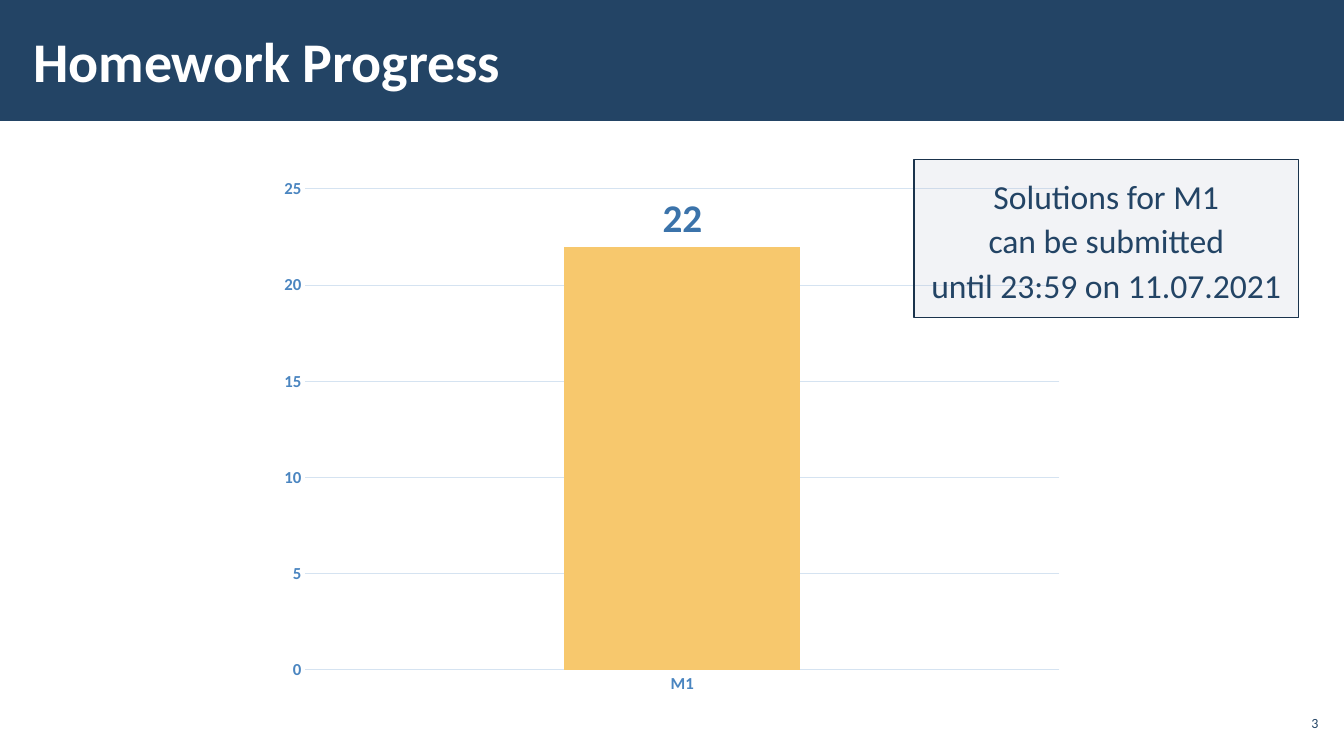
from dataclasses import dataclass
from typing import Optional

from lxml import etree
from pptx import Presentation
from pptx import util as u
from pptx.chart import data as chart_data
from pptx.dml.color import RGBColor
from pptx.enum import chart as charts, shapes, text
from pptx.oxml import ns

NAVY = RGBColor(0x23, 0x44, 0x65)
DARK_NAVY = RGBColor(0x1A, 0x33, 0x4C)
GREY = RGBColor(0xAD, 0xB4, 0xC3)
WHITE = RGBColor(0xFF, 0xFF, 0xFF)
YELLOW = RGBColor(0xF7, 0xC8, 0x6D)
AXIS_BLUE = RGBColor(0x4A, 0x85, 0xC0)
LABEL_BLUE = RGBColor(0x3B, 0x73, 0xAA)
GRID_BLUE = RGBColor(0xD5, 0xE3, 0xF1)
FONT = "Calibri"


@dataclass
class Panel:
    left: float
    top: float
    width: float
    height: float
    fill: RGBColor
    opacity: int = 100
    line: Optional[RGBColor] = None


def style_font(font, size: float, color: RGBColor, bold: bool = False) -> None:
    font.name = FONT
    font.size = u.Pt(size)
    font.bold = bold
    font.color.rgb = color


def set_margins(frame, horizontal: float, vertical: float) -> None:
    frame.margin_left = frame.margin_right = u.Pt(horizontal)
    frame.margin_top = frame.margin_bottom = u.Pt(vertical)


def write_line(paragraph, words: str, size: float, color: RGBColor, alignment, bold: bool = False) -> None:
    paragraph.alignment = alignment
    run = paragraph.add_run()
    run.text = words
    style_font(run.font, size, color, bold)


def draw_panel(slide, panel: Panel):
    shape = slide.shapes.add_shape(
        shapes.MSO_SHAPE.RECTANGLE,
        u.Pt(panel.left), u.Pt(panel.top), u.Pt(panel.width), u.Pt(panel.height),
    )
    shape.shadow.inherit = False
    shape.fill.solid()
    shape.fill.fore_color.rgb = panel.fill
    if panel.opacity < 100:
        color = shape.element.spPr.find(ns.qn("a:solidFill")).find(ns.qn("a:srgbClr"))
        etree.SubElement(color, ns.qn("a:alpha")).set("val", str(panel.opacity * 1000))
    if panel.line is None:
        shape.line.fill.background()
    else:
        shape.line.color.rgb = panel.line
        shape.line.width = u.Pt(1)
    return shape


def draw_header(slide) -> None:
    band = draw_panel(slide, Panel(0, 0, 960, 86.4, NAVY))
    title = slide.shapes.title
    title.element.addprevious(band.element)
    title.left, title.top, title.width, title.height = u.Pt(15.1), u.Pt(7.9), u.Pt(748.8), u.Pt(69.8)
    frame = title.text_frame
    frame.auto_size = text.MSO_AUTO_SIZE.NONE
    frame.vertical_anchor = text.MSO_ANCHOR.MIDDLE
    set_margins(frame, 8.64, 2.88)
    write_line(frame.paragraphs[0], "Homework Progress", 40, WHITE, text.PP_ALIGN.LEFT, True)


def draw_slide_number(slide) -> None:
    box = slide.shapes.add_textbox(u.Pt(910.8), u.Pt(504), u.Pt(33.8), u.Pt(24.5))
    frame = box.text_frame
    frame.word_wrap = True
    frame.vertical_anchor = text.MSO_ANCHOR.MIDDLE
    set_margins(frame, 2.88, 2.88)
    write_line(frame.paragraphs[0], "3", 10, NAVY, text.PP_ALIGN.RIGHT)


def draw_chart(slide) -> None:
    progress = chart_data.CategoryChartData()
    progress.categories = ["M1"]
    progress.add_series("Series 1", [22])
    chart = slide.shapes.add_chart(
        charts.XL_CHART_TYPE.COLUMN_CLUSTERED,
        u.Pt(191.5), u.Pt(120.2), u.Pt(576.7), u.Pt(383), progress,
    ).chart
    chart.has_legend = False
    chart.has_title = False
    style_font(chart.font, 10, NAVY)

    for axis in (chart.category_axis, chart.value_axis):
        axis.major_tick_mark = axis.minor_tick_mark = charts.XL_TICK_MARK.NONE
        style_font(axis.tick_labels.font, 12, AXIS_BLUE, True)
    value_axis = chart.value_axis
    value_axis.minimum_scale, value_axis.maximum_scale, value_axis.major_unit = 0, 25, 5
    value_axis.format.line.fill.background()
    for line in (chart.category_axis.format.line, value_axis.major_gridlines.format.line):
        line.color.rgb = GRID_BLUE
        line.width = u.Pt(0.75)

    plot = chart.plots[0]
    plot.gap_width = 219
    plot.overlap = -27
    plot.vary_by_categories = False
    column = plot.series[0]
    column.format.fill.solid()
    column.format.fill.fore_color.rgb = YELLOW
    labels = column.data_labels
    labels.show_value = True
    labels.position = charts.XL_LABEL_POSITION.OUTSIDE_END
    style_font(labels.font, 28, LABEL_BLUE, True)


def draw_deadline(slide) -> None:
    notice = draw_panel(slide, Panel(653, 113.8, 274.5, 113, GREY, 15, DARK_NAVY))
    frame = notice.text_frame
    frame.word_wrap = False
    frame.vertical_anchor = text.MSO_ANCHOR.MIDDLE
    set_margins(frame, 11.52, 8.64)
    lines = ("Solutions for M1", "can be submitted", "until 23:59 on 11.07.2021")
    for index, words in enumerate(lines):
        paragraph = frame.add_paragraph() if index else frame.paragraphs[0]
        paragraph.line_spacing = 1.1
        write_line(paragraph, words, 24, NAVY, text.PP_ALIGN.CENTER)


def main() -> None:
    presentation = Presentation()
    presentation.slide_width = u.Pt(960)
    presentation.slide_height = u.Pt(540)
    slide = presentation.slides.add_slide(presentation.slide_layouts[5])
    draw_header(slide)
    draw_slide_number(slide)
    draw_chart(slide)
    draw_deadline(slide)
    presentation.save("out.pptx")


if __name__ == "__main__":
    main()
